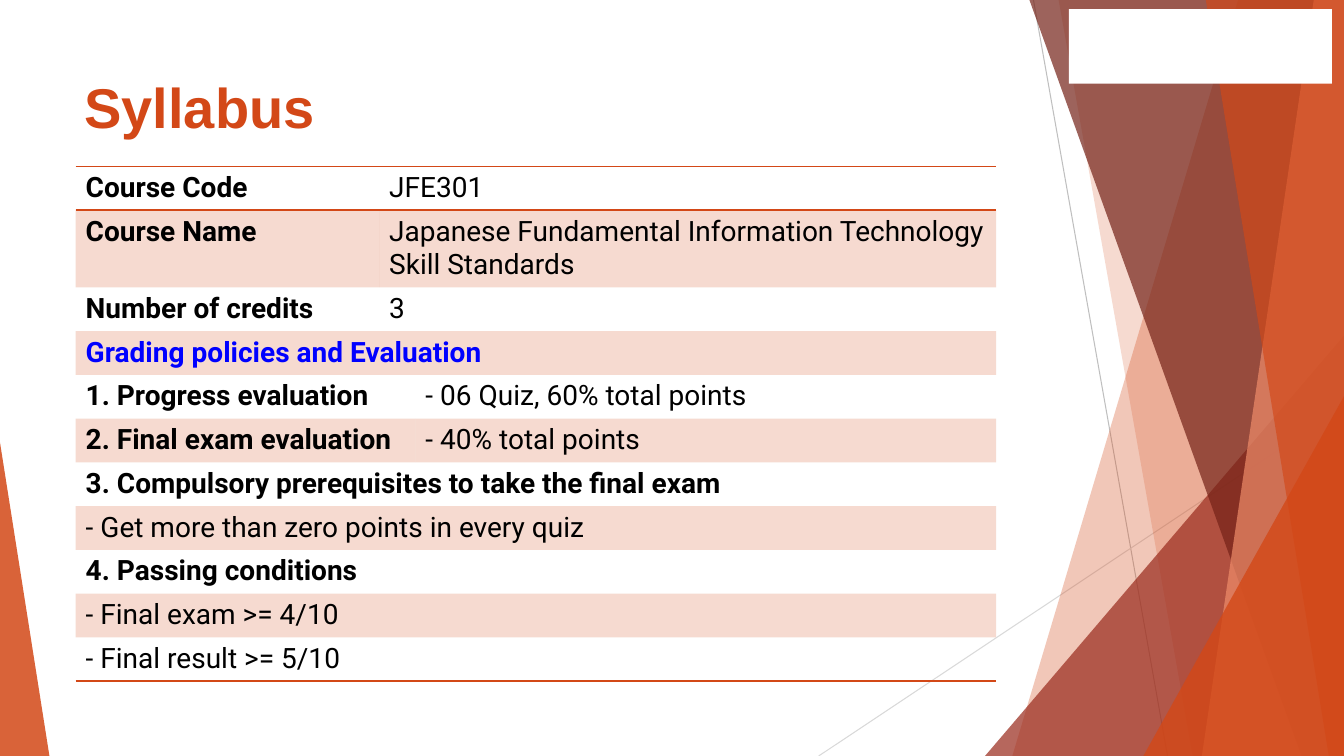
from dataclasses import dataclass

from lxml.etree import SubElement
from pptx import Presentation
from pptx.dml.color import RGBColor
from pptx.enum.shapes import MSO_CONNECTOR, MSO_SHAPE
from pptx.enum.text import MSO_ANCHOR
from pptx.oxml import parse_xml
from pptx.oxml.ns import nsdecls, qn
from pptx.util import Inches, Pt


@dataclass(frozen=True)
class Theme:
    accent: str = "D34817"
    brick: str = "9B2D1F"
    maroon: str = "742217"
    salmon: str = "EF8C6A"
    white: str = "FFFFFF"
    text: str = "000000"
    heading: str = "0000FF"
    steep_line: str = "BFBFBF"
    shallow_line: str = "D9D9D9"
    title_font: str = "Arial"
    body_font: str = "Roboto"
    title_size: int = 40
    body_size: int = 20
    band_opacity: int = 20


THEME = Theme()
WIDTH, HEIGHT = 13.33, 7.5
NO_STYLE = "{2D5ABB26-0587-4C30-8999-92F81FD0307C}"

# Each row: background triangle (left, top, width, height, apex) or facet
# (top-left x, bottom-left x), followed by its colour and opacity.
RIBBONS = [
    ("facet", (12.28, 10.04), THEME.accent, 30),
    ("facet", (10.5, 11.83), THEME.accent, 20),
    ("triangle", (9.77, 3.33, 3.56, 4.17, 1), THEME.brick, 72),
    ("facet", (10.21, 12.91), THEME.maroon, 70),
    ("facet", (13.03, 11.92), THEME.salmon, 70),
    ("facet", (11.96, 13.18), THEME.accent, 65),
    ("triangle", (11.34, 3.93, 1.99, 3.57, 1), THEME.accent, 80),
    ("triangle", (0, 4.39, 0.49, 3.11, 0), THEME.accent, 85),
]

COLUMNS = [3.01, 0.36, 5.76]
# Each row: the column where each text starts, the text, and whether it is bold.
SYLLABUS = [
    [(0, "Course Code", True), (1, "JFE301", False)],
    [(0, "Course Name", True),
     (1, "Japanese Fundamental Information Technology\nSkill Standards", False)],
    [(0, "Number of credits", True), (1, "3", False)],
    [(0, "Grading policies and Evaluation", True)],
    [(0, "1. Progress evaluation", True), (2, "- 06 Quiz, 60% total points", False)],
    [(0, "2. Final exam evaluation", True), (2, "- 40% total points", False)],
    [(0, "3. Compulsory prerequisites to take the final exam", True)],
    [(0, "- Get more than zero points in every quiz", False)],
    [(0, "4. Passing conditions", True)],
    [(0, "- Final exam >= 4/10", False)],
    [(0, "- Final result >= 5/10", False)],
]
NAME_ROW, HEADING_ROW = 1, 3


def paint(fill, color, opacity=100):
    fill.solid()
    fill.fore_color.rgb = RGBColor.from_string(color)
    if opacity < 100:
        color_element = fill._xPr.find(qn("a:solidFill"))[0]
        SubElement(color_element, qn("a:alpha")).set("val", str(opacity * 1000))


def format_text(text_frame, font_name, size, color, bold):
    for paragraph in text_frame.paragraphs:
        for run in paragraph.runs:
            run.font.name = font_name
            run.font.size = Pt(size)
            run.font.bold = bold
            run.font.color.rgb = RGBColor.from_string(color)


def add_thin_line(slide, start, end, color):
    line = slide.shapes.add_connector(
        MSO_CONNECTOR.STRAIGHT, *(Inches(value) for value in (*start, *end)))
    line.line.color.rgb = RGBColor.from_string(color)
    line.line.width = Pt(0.75)
    SubElement(line._element.spPr, qn("a:effectLst"))


def add_plain_shape(slide, kind, box):
    return slide.shapes.add_shape(kind, *(Inches(value) for value in box))


def add_facet(slide, top_x, bottom_x, box):
    """Draw a panel from a slanted left edge to the right side of the box."""
    left, top, width, height = box
    right, bottom = left + width, top + height
    corners = [(Inches(x), Inches(y)) for x, y in
               ((top_x, top), (right, top), (right, bottom), (bottom_x, bottom))]
    builder = slide.shapes.build_freeform(*corners[0])
    builder.add_line_segments(corners[1:], close=True)
    return builder.convert_to_shape()


def add_backdrop(slide, box):
    left, top, width, height = box
    right, bottom = left + width, top + height
    add_thin_line(slide, (10.25, top), (11.58, bottom), THEME.steep_line)
    add_thin_line(slide, (right, 4.03), (8.12, bottom), THEME.shallow_line)
    for kind, geometry, color, opacity in RIBBONS:
        if kind == "facet":
            shape = add_facet(slide, *geometry, box)
        else:
            shape = add_plain_shape(slide, MSO_SHAPE.ISOSCELES_TRIANGLE, geometry[:4])
            shape.adjustments[0] = geometry[4]
        finish_shape(shape, color, opacity)


def finish_shape(shape, color, opacity=100):
    paint(shape.fill, color, opacity)
    shape.line.fill.background()
    shape.shadow.inherit = False


def add_corner_plate(slide, box):
    finish_shape(add_plain_shape(slide, MSO_SHAPE.RECTANGLE, box), THEME.white)


def add_title(slide, box):
    title = slide.shapes.add_textbox(*(Inches(value) for value in box))
    text_frame = title.text_frame
    text_frame.word_wrap = True
    text_frame.vertical_anchor = MSO_ANCHOR.TOP
    text_frame.text = "Syllabus"
    format_text(text_frame, THEME.title_font, THEME.title_size, THEME.accent, True)


def add_border(cell, side):
    """Add an accent border; side is a:lnT or a:lnB."""
    cell._tc.get_or_add_tcPr().insert(0, parse_xml(
        f'<{side} {nsdecls("a")} w="{Pt(1)}"><a:solidFill>'
        f'<a:srgbClr val="{THEME.accent}"/></a:solidFill></{side}>'))


def add_syllabus_table(slide, box):
    left, top, width, height = box
    row_count, column_count = len(SYLLABUS), len(COLUMNS)
    table = slide.shapes.add_table(
        row_count, column_count, *(Inches(value) for value in box)).table
    table.first_row = table.horz_banding = False
    table._tbl.tblPr.find(qn("a:tableStyleId")).text = NO_STYLE
    for column, column_width in zip(table.columns, COLUMNS):
        column.width = Inches(column_width)

    name_height = 0.75
    row_height = (height - name_height) / (row_count - 1)
    for row_index, entries in enumerate(SYLLABUS):
        table.rows[row_index].height = Inches(
            name_height if row_index == NAME_ROW else row_height)
        for column_index in range(column_count):
            cell = table.cell(row_index, column_index)
            if row_index in (0, row_count - 1):
                add_border(cell, "a:lnB")
            if row_index == 0:
                add_border(cell, "a:lnT")
            if row_index % 2:
                paint(cell.fill, THEME.accent, THEME.band_opacity)
            else:
                cell.fill.background()

        ends = [entry[0] for entry in entries[1:]] + [column_count]
        color = THEME.heading if row_index == HEADING_ROW else THEME.text
        for (start, text, bold), end in zip(entries, ends):
            cell = table.cell(row_index, start)
            if end - start > 1:
                cell.merge(table.cell(row_index, end - 1))
            cell.text_frame.text = text
            format_text(cell.text_frame, THEME.body_font, THEME.body_size, color, bold)


def main():
    presentation = Presentation()
    presentation.slide_width = Inches(WIDTH)
    presentation.slide_height = Inches(HEIGHT)
    slide = presentation.slides.add_slide(presentation.slide_layouts[6])
    add_backdrop(slide, (0, 0, WIDTH, HEIGHT))
    add_corner_plate(slide, (10.6, 0.09, 2.61, 0.74))
    add_title(slide, (0.74, 0.67, 9.4, 1.44))
    add_syllabus_table(slide, (0.75, 1.65, sum(COLUMNS), 5.08))
    presentation.save("out.pptx")


if __name__ == "__main__":
    main()
